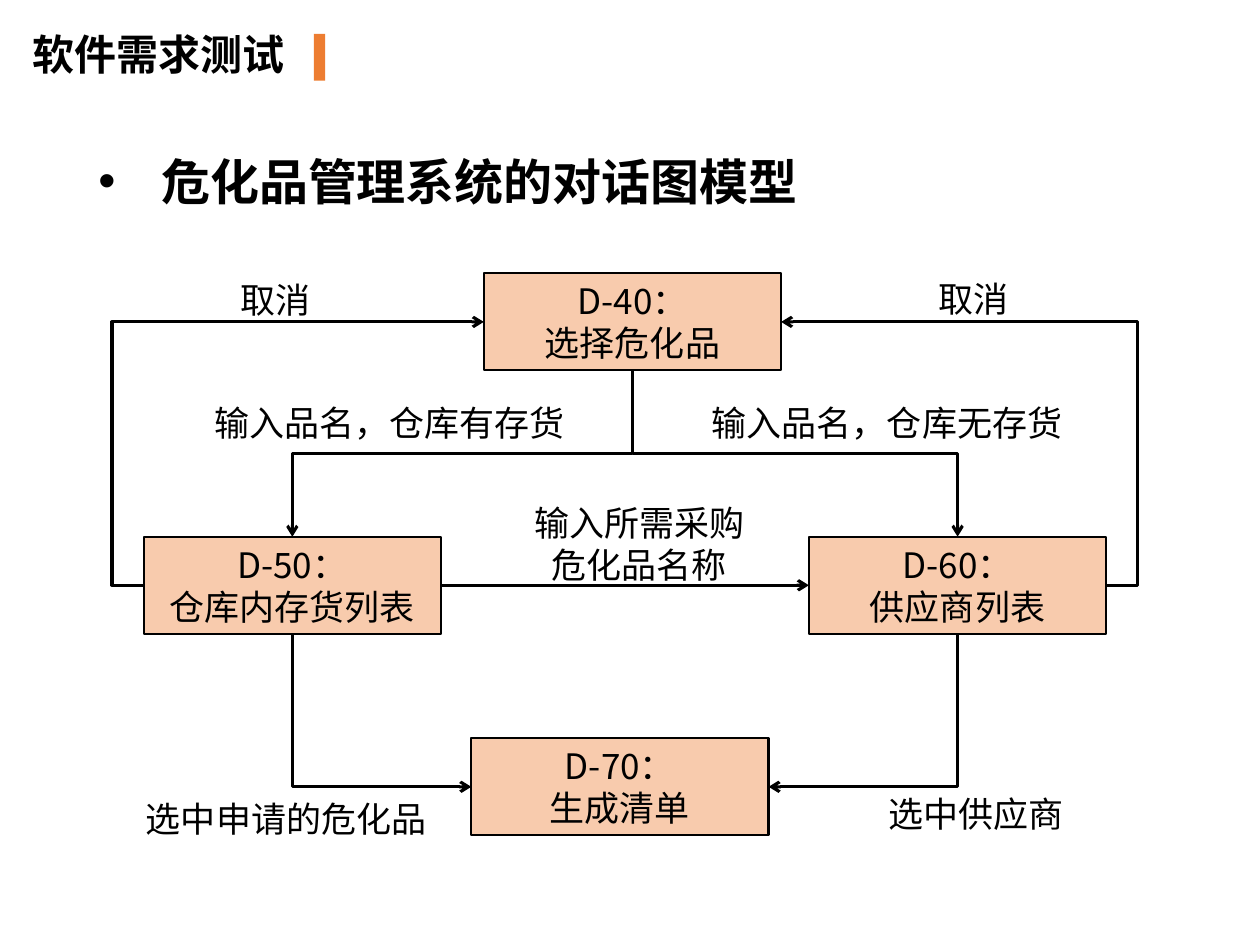
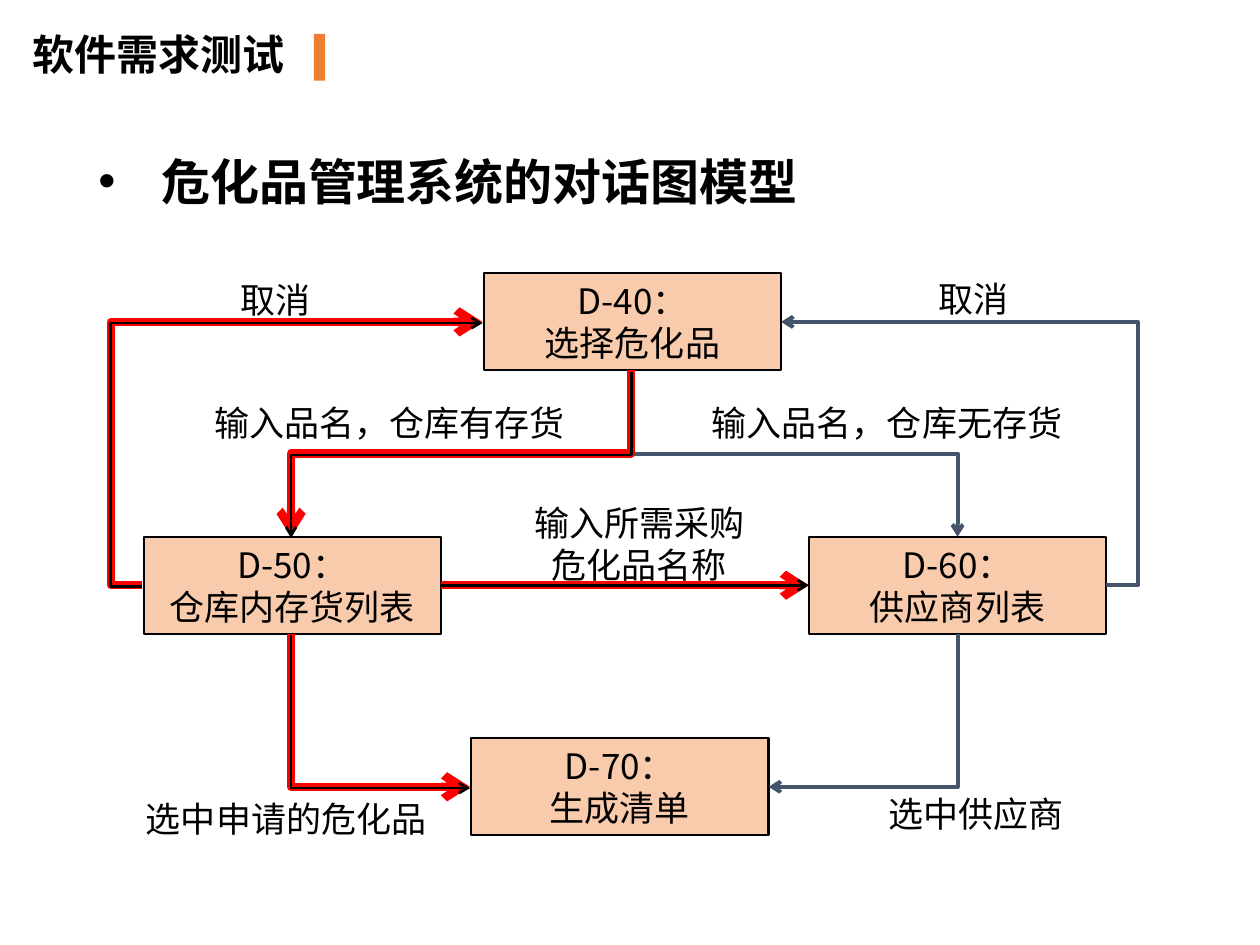
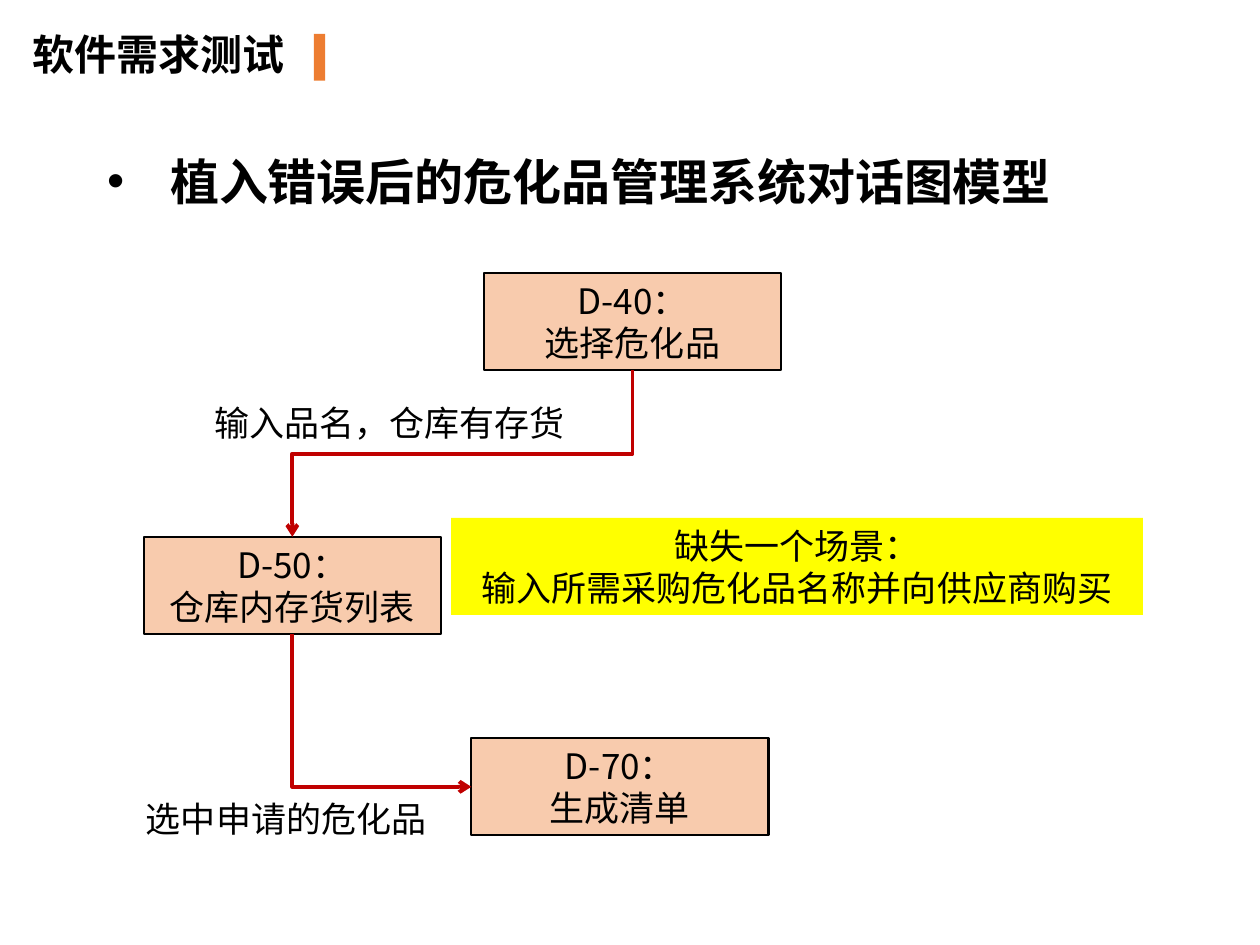
import copy
import dataclasses
import lxml.etree
import pptx
import pptx.dml.color
import pptx.enum.shapes
import pptx.enum.text
import pptx.oxml.ns
import pptx.util

Inches = pptx.util.Inches
Align = pptx.enum.text.PP_ALIGN
Anchor = pptx.enum.text.MSO_ANCHOR
Kind = pptx.enum.shapes.MSO_CONNECTOR
RECT = pptx.enum.shapes.MSO_SHAPE.RECTANGLE
qn = pptx.oxml.ns.qn


@dataclasses.dataclass(frozen=True)
class Theme:
    font: str = "Noto Sans CJK SC"
    ink: str = "000000"
    accent: str = "ED7D31"
    node: str = "F8CBAD"
    note: str = "FFFF00"
    hot: str = "FF0000"
    cool: str = "44546A"
    deep: str = "C00000"
    title: int = 24
    head: int = 28
    text: int = 20
    edge: float = 1.25


@dataclasses.dataclass(frozen=True)
class Box:
    left: float
    top: float
    width: float
    height: float

    def inner(self, left, top, width, height):
        return Box(self.left + left, self.top + top, width, height)

    def side(self, name):
        mid_x, mid_y = self.left + self.width / 2, self.top + self.height / 2
        return {"top": (mid_x, self.top), "left": (self.left, mid_y),
                "bottom": (mid_x, self.top + self.height),
                "right": (self.left + self.width, mid_y)}[name]

    def lengths(self):
        return [Inches(n) for n in (self.left, self.top, self.width, self.height)]


@dataclasses.dataclass(frozen=True)
class Pen:
    color: str
    width: float
    routes: tuple
    shift: tuple = (0, 0)


THEME = Theme()
PAGE = Box(0, 0, 10, 7.5)
CHART = Box(0.9, 2.1, 8.2, 4.65)
NODE_SIZE = (2.36, 0.77)
LOOP = 0.25
NODES = {
    "D-40": ("选择危化品", 2.94, 0.07),
    "D-50": ("仓库内存货列表", 0.24, 2.16),
    "D-60": ("供应商列表", 5.52, 2.16),
    "D-70": ("生成清单", 2.84, 3.76),
}
ROUTES = {
    "back": ("D-50", "left", "D-40", "left", "loop"),
    "stock": ("D-40", "bottom", "D-50", "top", "drop"),
    "empty": ("D-40", "bottom", "D-60", "top", "fork"),
    "pick": ("D-50", "bottom", "D-70", "left", "turn"),
    "cancel": ("D-60", "right", "D-40", "right", "loop"),
    "vendor": ("D-60", "bottom", "D-70", "right", "turn"),
    "order": ("D-50", "right", "D-60", "left", "line"),
}
LABELS = {
    "back": ("取消", 0.91, 0.06, 1.09, 0.44),
    "stock": ("输入品名，仓库有存货", 0.7, 1.04, 3.05, 0.44),
    "empty": ("输入品名，仓库无存货", 4.65, 1.04, 3.05, 0.44),
    "pick": ("选中申请的危化品", 0.16, 4.18, 2.52, 0.44),
    "cancel": ("取消", 6.45, 0.05, 1.09, 0.44),
    "vendor": ("选中供应商", 6.05, 4.14, 1.66, 0.44),
    "order": ("输入所需采购危化品名称", 3.2, 1.83, 1.95, 0.77),
}


def rgb(color):
    return pptx.dml.color.RGBColor.from_string(color)


def write(shape, lines, size, align=Align.LEFT, bold=False, anchor=Anchor.TOP,
          wrap=True, bullet=False):
    frame = shape.text_frame
    frame.text = "\n".join(lines)
    frame.word_wrap = wrap
    frame.vertical_anchor = anchor
    frame.auto_size = pptx.enum.text.MSO_AUTO_SIZE.SHAPE_TO_FIT_TEXT
    for para in frame.paragraphs:
        para.alignment = align
        para.space_before = pptx.util.Pt(0)
        props = para._p.get_or_add_pPr()
        if bullet:
            props.set("marL", str(Inches(0.5)))
            props.set("indent", str(Inches(-0.5)))
            lines_font = lxml.etree.SubElement(props, qn("a:buFont"))
            lines_font.set("typeface", "Arial")
            lxml.etree.SubElement(props, qn("a:buChar")).set("char", "•")
        font = para.font
        font.size = pptx.util.Pt(size)
        font.bold = bold
        font.color.rgb = rgb(THEME.ink)
        font.name = THEME.font
        east = lxml.etree.SubElement(props.find(qn("a:defRPr")), qn("a:ea"))
        east.set("typeface", THEME.font)


def block(slide, box, fill, line=None):
    shape = slide.shapes.add_shape(RECT, *box.lengths())
    shape.shadow.inherit = False
    shape.fill.solid()
    shape.fill.fore_color.rgb = rgb(fill)
    if line:
        shape.line.color.rgb = rgb(line)
        shape.line.width = pptx.util.Pt(THEME.edge)
    else:
        shape.line.fill.background()
    return shape


def place(shape, box):
    shape.left, shape.top, shape.width, shape.height = box.lengths()


def header(slide, box, head, left, width):
    place(slide.shapes.title, box.inner(0.16, 0.18, 2.3, 0.5))
    write(slide.shapes.title, ["软件需求测试"], THEME.title, bold=True)
    block(slide, box.inner(2.49, 0.27, 0.09, 0.37), THEME.accent)
    body = slide.placeholders[1]
    place(body, box.inner(left, 1.15, width, 0.57))
    write(body, [head], THEME.head, Align.JUSTIFY, True, wrap=False, bullet=True)


def connect(slide, kind, start, end, pen):
    line = slide.shapes.add_connector(kind, *[Inches(n) for n in start + end])
    line.line.color.rgb = rgb(pen.color)
    line.line.width = pptx.util.Pt(pen.width)
    tail = lxml.etree.SubElement(line.line._get_or_add_ln(), qn("a:tailEnd"))
    tail.set("type", "arrow")
    lxml.etree.SubElement(line._element.spPr, qn("a:effectLst"))
    return line


def elbow(slide, start, end, bend, pen):
    (x1, y1), (x2, y2) = start, end
    if bend == "fork":
        y1 = (y1 + y2) / 2
    start, end, turn = (x1, y1), (x2, y2), 0
    wide, tall = abs(x2 - x1), y2 - y1
    if bend in ("drop", "turn"):
        mid_x, mid_y = (x1 + x2) / 2, (y1 + y2) / 2
        way, turn = (1, 90) if x2 < x1 else (-1, 270)
        start = (mid_x - way * tall / 2, mid_y - wide / 2)
        end = (mid_x + way * tall / 2, mid_y + wide / 2)
    line = connect(slide, Kind.ELBOW, start, end, pen)
    props = line._element.spPr
    if turn:
        props.find(qn("a:xfrm")).set("rot", str(turn * 60000))
    shape = props.find(qn("a:prstGeom"))
    if bend in ("fork", "turn"):
        shape.set("prst", "bentConnector2")
    if bend == "loop":
        guide = lxml.etree.SubElement(shape.find(qn("a:avLst")), qn("a:gd"))
        guide.set("name", "adj1")
        guide.set("fmla", f"val {round(-LOOP / wide * 100000)}")


def flow(slide, box, names, pens):
    boxes, shapes = {}, {}
    for name in names:
        text, left, top = NODES[name]
        boxes[name] = box.inner(left, top, *NODE_SIZE)
        shapes[name] = block(slide, boxes[name], THEME.node, THEME.ink)
        write(shapes[name], [name + "：", text], THEME.text, Align.CENTER,
              anchor=Anchor.MIDDLE)
    for pen in pens:
        for route in pen.routes:
            first, out, last, into, bend = ROUTES[route]
            start, end = [
                tuple(a + b for a, b in zip(point, pen.shift))
                for point in (boxes[first].side(out), boxes[last].side(into))]
            if bend == "line":
                line = connect(slide, Kind.STRAIGHT, start, end, pen)
                line.begin_connect(shapes[first], 3)
                line.end_connect(shapes[last], 1)
            else:
                elbow(slide, start, end, bend, pen)
    used = {route for pen in pens for route in pen.routes}
    for route, (text, *area) in LABELS.items():
        if route in used:
            label = slide.shapes.add_textbox(*box.inner(*area).lengths())
            align = Align.CENTER if route == "order" else Align.LEFT
            write(label, [text], THEME.text, align)


def notice(slide, box):
    shape = block(slide, box, THEME.note)
    write(shape, ["缺失一个场景：", "输入所需采购危化品名称并向供应商购买"],
          THEME.text, Align.CENTER, anchor=Anchor.MIDDLE)


def main():
    deck = pptx.Presentation()
    deck.slide_width, deck.slide_height = Inches(PAGE.width), Inches(PAGE.height)
    model = ("危化品管理系统的对话图模型", 0.68, 5.81)
    broken = ("植入错误后的危化品管理系统对话图模型", 0.75, 7.78)
    main_path = ("back", "stock", "pick", "order")
    every = tuple(NODES)
    pages = [
        (model, every, [Pen(THEME.ink, 1.75, tuple(ROUTES))]),
        (model, every, [
            Pen(THEME.cool, 2.25, ("empty", "cancel", "vendor")),
            Pen(THEME.hot, 4.75, main_path, (-0.01, 0)),
            Pen(THEME.ink, 1.5, main_path, (-0.01, 0.01))]),
        (broken, ("D-40", "D-50", "D-70"),
         [Pen(THEME.deep, 2.25, ("stock", "pick"))]),
    ]
    for head, names, pens in pages:
        slide = deck.slides.add_slide(deck.slide_layouts[1])
        header(slide, PAGE, *head)
        flow(slide, CHART, names, pens)
    notice(slide, CHART.inner(2.68, 2.01, 5.49, 0.77))
    deck.save("out.pptx")


if __name__ == "__main__":
    main()
